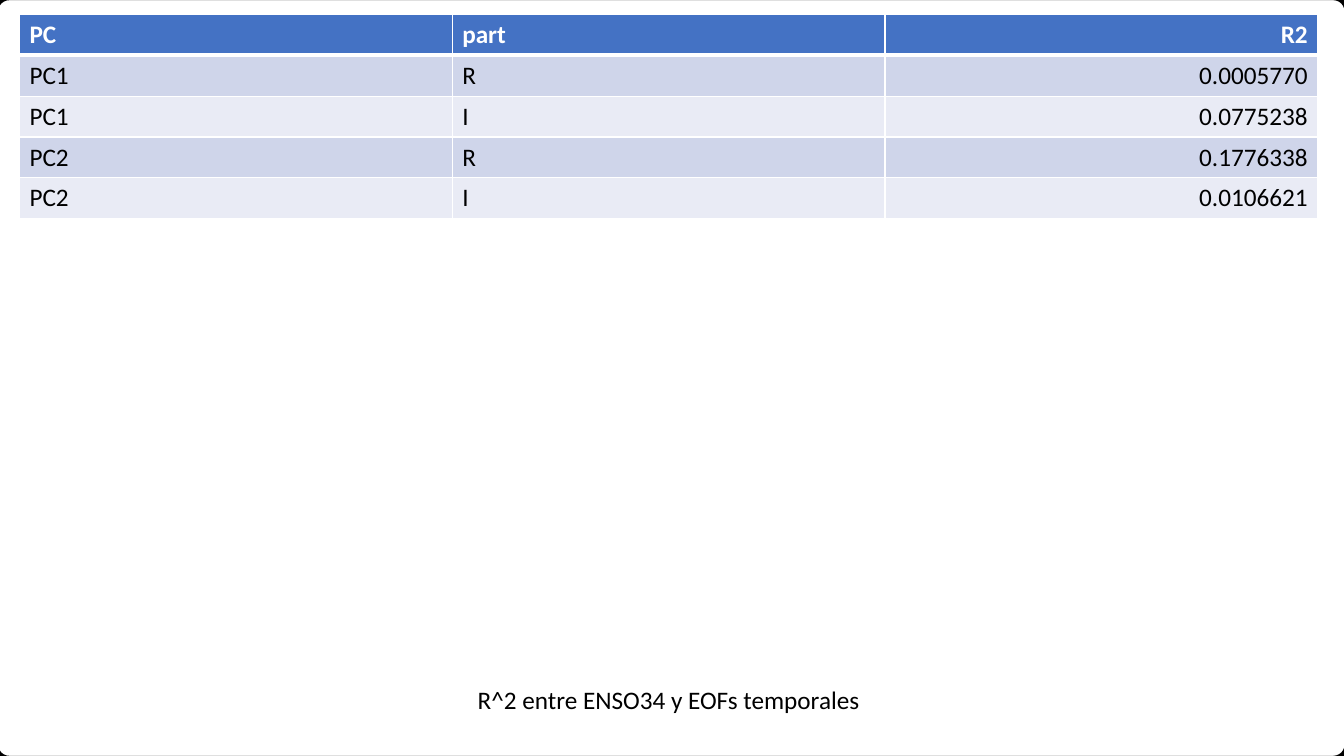
from dataclasses import dataclass

from lxml.etree import SubElement
from pptx import Presentation
from pptx.dml.color import RGBColor
from pptx.enum.shapes import MSO_SHAPE as Shape
from pptx.enum.text import PP_ALIGN as Align
from pptx.oxml.ns import qn
from pptx.util import Inches, Pt


@dataclass(frozen=True)
class Theme:
    font: str = "Calibri"
    text_size: float = 18
    text: str = "000000"
    light: str = "FFFFFF"
    header: str = "4472C4"
    bands: tuple = ("CFD5EA", "E9EBF5")
    frame_line: float = 6
    thin_line: float = 1
    header_line: float = 3


class SlideBuilder:
    """Places elements by percentages of the slide's width and height."""

    def __init__(self, presentation, theme):
        self.theme = theme
        self.width = presentation.slide_width
        self.height = presentation.slide_height
        self.slide = presentation.slides.add_slide(presentation.slide_layouts[6])
        background = self.slide.background.fill
        background.solid()
        background.fore_color.rgb = RGBColor.from_string(theme.light)

    def box(self, left, top, width, height):
        return (round(self.width * left / 100), round(self.height * top / 100),
                round(self.width * width / 100), round(self.height * height / 100))

    def set_text(self, text_frame, text, color, align, bold=False):
        paragraph = text_frame.paragraphs[0]
        paragraph.text = text
        paragraph.alignment = align
        font = paragraph.font
        font.name = self.theme.font
        font.size = Pt(self.theme.text_size)
        font.bold = bold
        font.color.rgb = RGBColor.from_string(color)

    def frame(self, *area, corner):
        shape = self.slide.shapes.add_shape(Shape.ROUNDED_RECTANGLE, *self.box(*area))
        shape.adjustments[0] = corner
        shape.shadow.inherit = False
        shape.fill.background()
        shape.line.color.rgb = RGBColor.from_string(self.theme.text)
        shape.line.width = Pt(self.theme.frame_line)

    def caption(self, *area, text):
        shape = self.slide.shapes.add_textbox(*self.box(*area))
        shape.text_frame.word_wrap = True
        self.set_text(shape.text_frame, text, self.theme.text, Align.CENTER)

    def borders(self, cell, top, bottom):
        properties = cell._tc.get_or_add_tcPr()
        thin = self.theme.thin_line
        for side, points in zip("LRTB", (thin, thin, top, bottom)):
            line = SubElement(properties, qn(f"a:ln{side}"), w=str(Pt(points)))
            fill = SubElement(line, qn("a:solidFill"))
            SubElement(fill, qn("a:srgbClr"), val=self.theme.light)

    def table(self, left, top, width, row_height, rows):
        theme = self.theme
        area = self.box(left, top, width, row_height * len(rows))
        table = self.slide.shapes.add_table(len(rows), len(rows[0]), *area).table
        for row, values in enumerate(rows):
            header = row == 0
            fill = theme.header if header else theme.bands[(row - 1) % 2]
            color = theme.light if header else theme.text
            top_line = theme.header_line if row == 1 else theme.thin_line
            bottom_line = theme.header_line if header else theme.thin_line
            for column, value in enumerate(values):
                cell = table.cell(row, column)
                self.borders(cell, top_line, bottom_line)
                cell.fill.solid()
                cell.fill.fore_color.rgb = RGBColor.from_string(fill)
                # The last column holds the numbers
                align = Align.RIGHT if column == len(values) - 1 else Align.LEFT
                self.set_text(cell.text_frame, value, color, align, bold=header)


R2_ROWS = (
    ("PC", "part", "R2"),
    ("PC1", "R", "0.0005770"),
    ("PC1", "I", "0.0775238"),
    ("PC2", "R", "0.1776338"),
    ("PC2", "I", "0.0106621"),
)


def main():
    presentation = Presentation()
    presentation.slide_width = Inches(13.33)
    presentation.slide_height = Inches(7.5)
    builder = SlideBuilder(presentation, Theme())

    # Rounded frame around the slide
    builder.frame(-0.45, -0.53, 100.8, 101.07, corner=0.02)

    # Table and its caption share the same margins
    left, width = 1.45, 96.6
    builder.table(left, 1.9, width, 5.4, R2_ROWS)
    builder.caption(left, 89.85, width, 7.45, text="R^2 entre ENSO34 y EOFs temporales")

    presentation.save("out.pptx")


if __name__ == "__main__":
    main()
